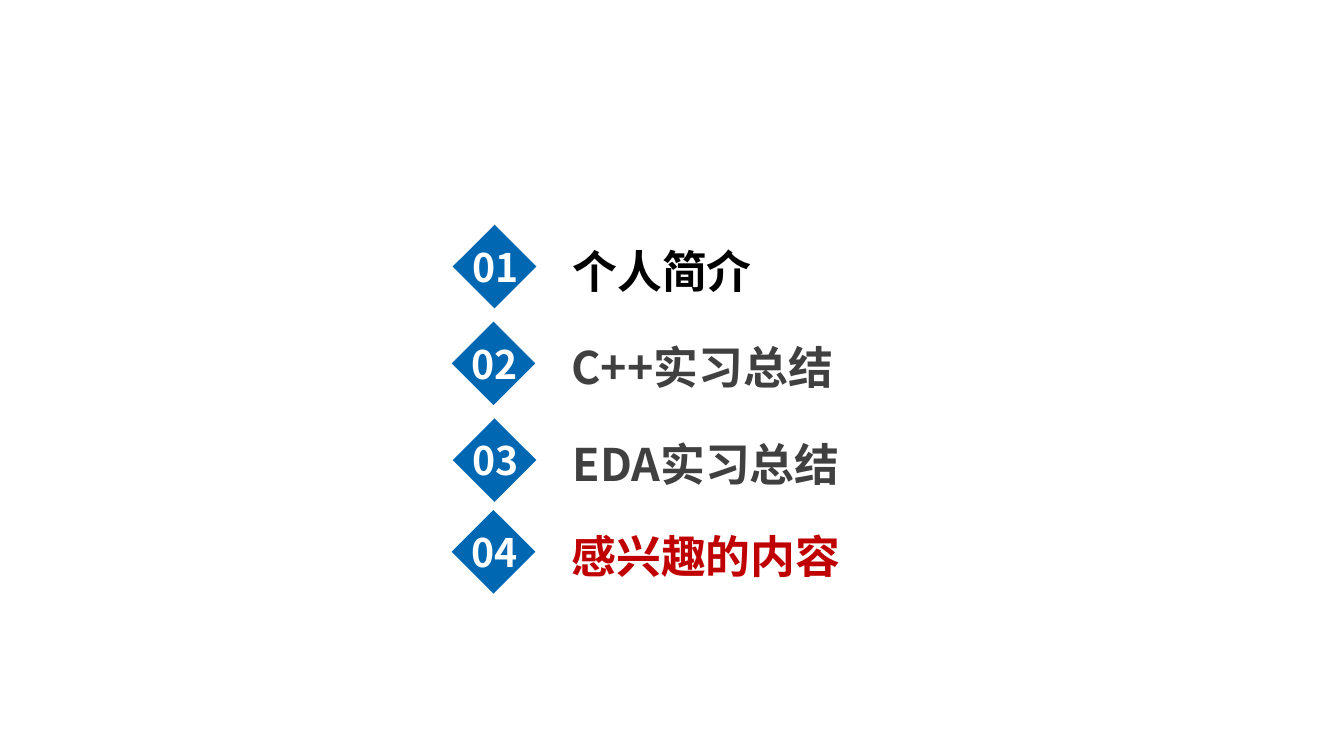
from lxml.etree import SubElement
from pptx import Presentation
from pptx.dml.color import RGBColor
from pptx.enum.shapes import MSO_SHAPE
from pptx.enum.text import MSO_ANCHOR, MSO_AUTO_SIZE, PP_ALIGN
from pptx.oxml.ns import qn
from pptx.util import Inches, Pt

BLUE = RGBColor(0x00, 0x67, 0xB3)
WHITE = RGBColor(0xFF, 0xFF, 0xFF)
BLACK = RGBColor(0x00, 0x00, 0x00)
GREY = RGBColor(0x40, 0x40, 0x40)
RED = RGBColor(0xC0, 0x00, 0x00)

DIAMOND_SIZE = 0.83
LABEL_OFFSET = 1.09
TEXT_DROP = 0.13

# diamond left, diamond top, label, label colour
AGENDA = [
    (4.49, 2.23, "个人简介", BLACK),
    (4.48, 3.19, "C++实习总结", GREY),
    (4.49, 4.15, "EDA实习总结", GREY),
    (4.48, 5.06, "感兴趣的内容", RED),
]


class AgendaSlide:
    font_name = "Noto Sans CJK SC"

    def __init__(self, slide):
        self.slide = slide

    def diamond(self, left, top):
        shape = self.slide.shapes.add_shape(
            MSO_SHAPE.DIAMOND, Inches(left), Inches(top),
            Inches(DIAMOND_SIZE), Inches(DIAMOND_SIZE))
        shape.shadow.inherit = False
        shape.fill.solid()
        shape.fill.fore_color.rgb = BLUE
        shape.line.fill.background()

    def text(self, left, top, width, height, wording, size, color,
             alignment=PP_ALIGN.LEFT):
        box = self.slide.shapes.add_textbox(
            Inches(left), Inches(top), Inches(width), Inches(height))
        frame = box.text_frame
        frame.word_wrap = True
        frame.auto_size = MSO_AUTO_SIZE.SHAPE_TO_FIT_TEXT
        frame.vertical_anchor = MSO_ANCHOR.MIDDLE
        frame.margin_top = frame.margin_bottom = Inches(0)
        paragraph = frame.paragraphs[0]
        paragraph.alignment = alignment
        run = paragraph.add_run()
        run.text = wording
        run.font.size = Pt(size)
        run.font.bold = True
        run.font.color.rgb = color
        run.font.name = self.font_name
        east_asian = SubElement(run.font._element, qn("a:ea"))
        east_asian.set("typeface", self.font_name)

    def entry(self, number, left, top, label, color):
        """Draw one agenda row: a numbered diamond and its label."""
        self.diamond(left, top)
        self.text(left, top + TEXT_DROP, 0.85, 0.57, f"{number:02d}", 28,
                  WHITE, PP_ALIGN.CENTER)
        self.text(left + LABEL_OFFSET, top + TEXT_DROP, 3.77, 0.64, label, 32,
                  color)


def main():
    presentation = Presentation()
    presentation.slide_width = Inches(13.33)
    presentation.slide_height = Inches(7.5)
    agenda = AgendaSlide(
        presentation.slides.add_slide(presentation.slide_layouts[6]))
    for number, row in enumerate(AGENDA, start=1):
        agenda.entry(number, *row)
    presentation.save("out.pptx")


if __name__ == "__main__":
    main()
